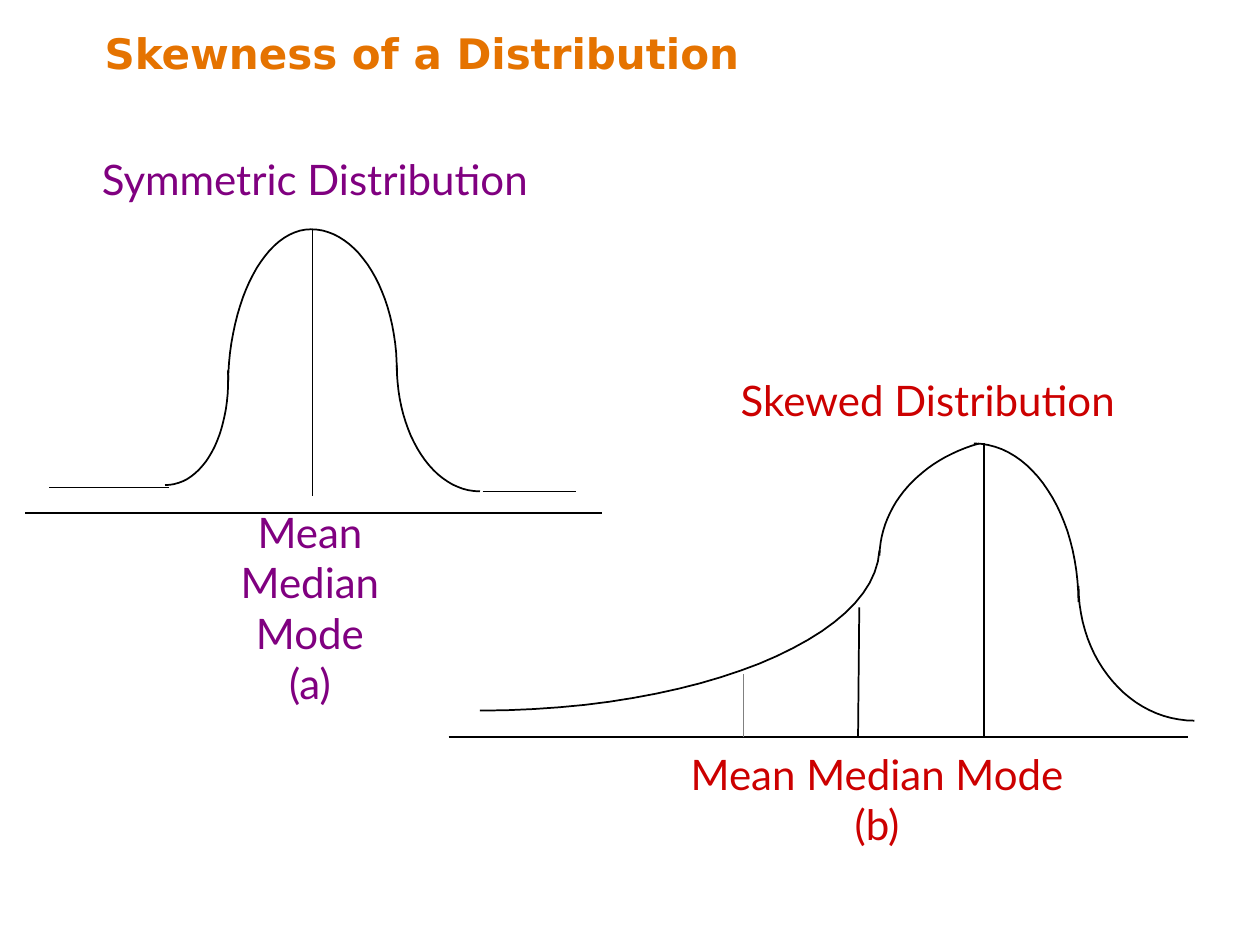
from lxml import etree
from pptx import Presentation
from pptx import util as u
from pptx.dml import color
from pptx.enum import shapes, text
from pptx.oxml import ns

HUES = {"title": "E57300", "even": "800080", "skew": "CC0000",
        "ink": "000000", "gray": "808080"}
STEPS = 24
UNIT = 1000


def hue(name):
    return color.RGBColor.from_string(HUES[name])


def write(box, words, font, name, align, bold):
    frame = box.text_frame
    form = {"word_wrap": True, "auto_size": text.MSO_AUTO_SIZE.NONE,
            "vertical_anchor": text.MSO_ANCHOR.TOP}
    for key, val in form.items():
        setattr(frame, key, val)
    frame.text = words
    para = frame.paragraphs[0]
    para.alignment = align
    for key, val in {"name": font, "size": u.Pt(24), "bold": bold}.items():
        setattr(para.font, key, val)
    para.font.color.rgb = hue(name)


prs = Presentation()
prs.slide_width, prs.slide_height = u.Inches(10), u.Inches(7.5)
slide = prs.slides.add_slide(prs.slide_layouts[5])

title = slide.shapes.title
place = {"left": 0.73, "top": 0.17, "width": 8.52, "height": 0.86}
for key, val in place.items():
    setattr(title, key, u.Inches(val))
write(title, "Skewness of a Distribution", "DejaVu Sans", "title",
      text.PP_ALIGN.LEFT, True)

curves = [
    [(1.81, 3.05), (1.82, 2.37), (2.11, 1.82), (2.47, 1.82)],
    [(1.81, 2.94), (1.83, 3.46), (1.61, 3.85), (1.31, 3.85)],
    [(2.47, 1.82), (2.84, 1.82), (3.15, 2.32), (3.15, 2.95)],
    [(3.81, 3.9), (3.44, 3.9), (3.15, 3.45), (3.15, 2.9)],
    [(6.98, 4.41), (6.99, 4), (7.31, 3.65), (7.77, 3.52)],
    [(6.98, 4.37), (6.94, 5.07), (5.53, 5.64), (3.81, 5.64)],
    [(7.73, 3.52), (8.19, 3.52), (8.56, 4.09), (8.56, 4.78)],
    [(9.48, 5.72), (8.97, 5.72), (8.56, 5.24), (8.56, 4.65)],
]
for ends in curves:
    dots = []
    for step in range(STEPS + 1):
        t = step / STEPS
        parts = [(1 - t) ** 3, 3 * t * (1 - t) ** 2, 3 * t * t * (1 - t), t ** 3]
        dots.append([sum(w * p[axis] for w, p in zip(parts, ends)) * UNIT
                     for axis in (0, 1)])
    pen = slide.shapes.build_freeform(*dots[0], scale=u.Inches(1) / UNIT)
    pen.add_line_segments(dots[1:], close=False)
    curve = pen.convert_to_shape()
    curve.shadow.inherit = False
    curve.fill.background()
    curve.line.color.rgb = hue("ink")
    curve.line.width = u.Pt(1)

lines = [
    (1.34, 3.87, 0.39, 3.87, "ink"),
    (3.83, 3.9, 4.57, 3.9, "ink"),
    (0.2, 4.07, 4.78, 4.07, "ink"),
    (2.48, 1.82, 2.48, 3.94, "ink"),
    (3.56, 5.85, 9.43, 5.85, "ink"),
    (7.81, 3.52, 7.81, 5.85, "ink"),
    (6.82, 4.82, 6.81, 5.85, "ink"),
    (5.9, 5.85, 5.9, 5.35, "gray"),
]
for *ends, name in lines:
    line = slide.shapes.add_connector(shapes.MSO_CONNECTOR.STRAIGHT,
                                      *map(u.Inches, ends))
    line.line.color.rgb = hue(name)
    line.line.width = u.Pt(1)
    etree.SubElement(line._element.spPr, ns.qn("a:effectLst"))

left, mid = text.PP_ALIGN.LEFT, text.PP_ALIGN.CENTER
labels = [
    (5.78, 2.92, 3.99, 0.5, "Skewed Distribution", "skew", left),
    (0.71, 1.17, 3.99, 0.5, "Symmetric Distribution", "even", left),
    (1.76, 3.97, 1.4, 1.7, "Mean Median Mode (a)", "even", mid),
    (5.24, 5.89, 3.44, 0.9, "Mean Median Mode (b)", "skew", mid),
]
for *area, words, name, align in labels:
    box = slide.shapes.add_textbox(*map(u.Inches, area))
    write(box, words, "Lato", name, align, False)

prs.save("out.pptx")
